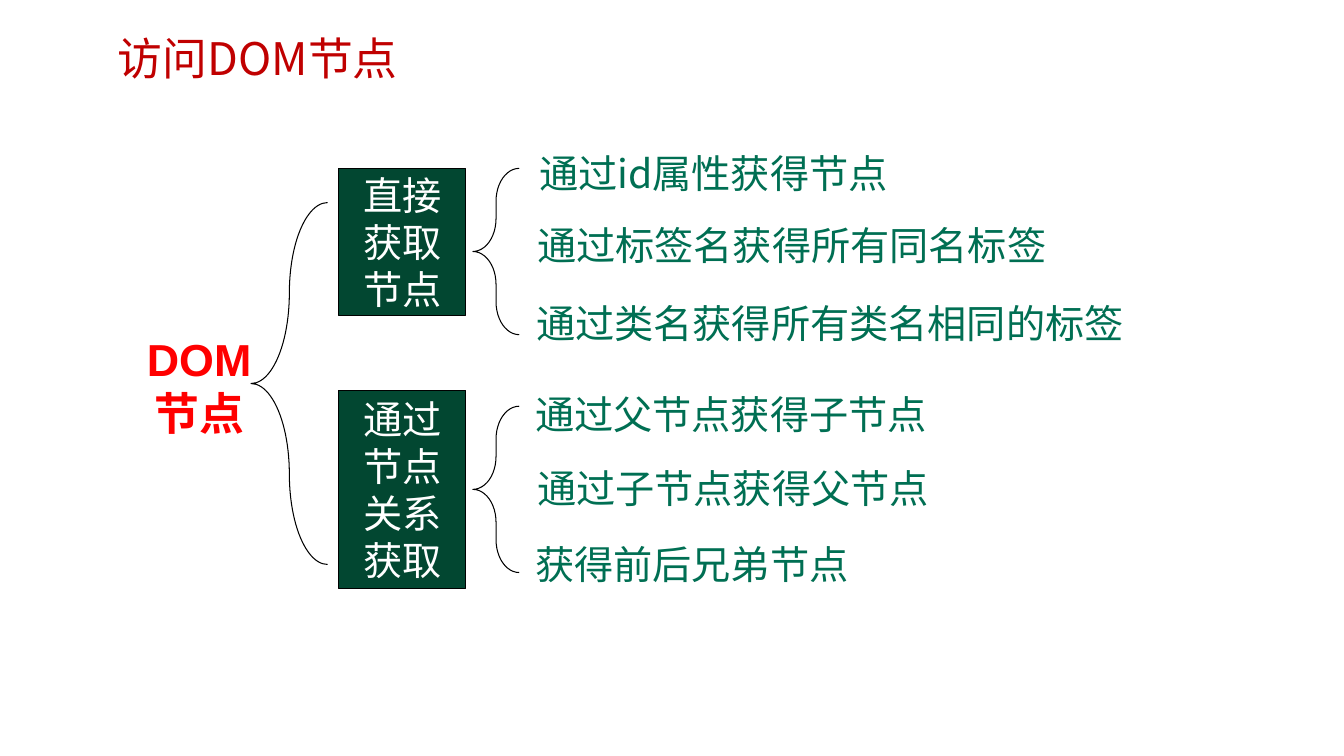
from dataclasses import dataclass

from lxml import etree
from pptx import Presentation
from pptx.dml.color import RGBColor
from pptx.enum.shapes import MSO_SHAPE as Preset
from pptx.enum.text import MSO_ANCHOR as Anchor, MSO_AUTO_SIZE as AutoSize, PP_ALIGN as Align
from pptx.oxml.ns import qn
from pptx.util import Inches, Pt


@dataclass(frozen=True)
class Theme:
    latin: str = "Arial"
    chinese: str = "Noto Sans CJK SC"
    title_color: str = "C00000"
    root_color: str = "FF0000"
    branch_fill: str = "024731"
    branch_text: str = "FFFFFF"
    leaf_color: str = "006F53"
    line_color: str = "000000"
    large: int = 32
    normal: int = 28
    line_width: float = 0.75
    line_pitch: float = 1.2


def set_text(frame, text, *, size, color, font, chinese, pitch,
             bold=False, align=Align.LEFT, anchor=Anchor.TOP):
    """Fill a text frame with one paragraph; pitch is line height over type size."""
    frame.word_wrap = True
    frame.vertical_anchor = anchor
    para = frame.paragraphs[0]
    para.alignment = align
    para.line_spacing = Pt(size * pitch)
    span = para.add_run()
    span.text = text
    span.font.size = Pt(size)
    span.font.bold = bold
    span.font.name = font
    span.font.color.rgb = RGBColor.from_string(color)
    properties = span._r.get_or_add_rPr()
    etree.SubElement(properties, qn("a:ea")).set("typeface", chinese)


class TreeSlide:
    def __init__(self, page, theme):
        self.page = page
        self.theme = theme

    def fill_text(self, frame, text, **style):
        set_text(frame, text, chinese=self.theme.chinese,
                 pitch=self.theme.line_pitch, **style)

    def label(self, text, left, top, width, height, grow=True, **style):
        box = self.page.shapes.add_textbox(
            Inches(left), Inches(top), Inches(width), Inches(height))
        self.fill_text(box.text_frame, text, **style)
        box.text_frame.auto_size = AutoSize.SHAPE_TO_FIT_TEXT if grow else AutoSize.NONE

    def outlined(self, preset, left, top, width, height):
        shape = self.page.shapes.add_shape(
            preset, Inches(left), Inches(top), Inches(width), Inches(height))
        shape.shadow.inherit = False
        shape.line.color.rgb = RGBColor.from_string(self.theme.line_color)
        shape.line.width = Pt(self.theme.line_width)
        return shape

    def branch(self, text, top, height):
        box = self.outlined(Preset.RECTANGLE, 3.36, top, 1.26, height)
        box.fill.solid()
        box.fill.fore_color.rgb = RGBColor.from_string(self.theme.branch_fill)
        self.fill_text(box.text_frame, text, size=self.theme.normal,
                       color=self.theme.branch_text, font=self.theme.latin,
                       align=Align.CENTER, anchor=Anchor.MIDDLE)

    def brace(self, left, top, width, height, curve):
        brace = self.outlined(Preset.LEFT_BRACE, left, top, width, height)
        brace.fill.background()
        brace.adjustments[0] = curve
        brace.adjustments[1] = 0.5

    def leaf(self, text, left, top):
        self.label(text, left, top, 6.1, 0.57, size=self.theme.normal,
                   color=self.theme.leaf_color, font=self.theme.chinese)


BRANCHES = [
    ("直接获取节点", 1.67, 1.46, 1.67, [
        ("通过id属性获得节点", 5.25, 1.43),
        ("通过标签名获得所有同名标签", 5.23, 2.15),
        ("通过类名获得所有类名相同的标签", 5.22, 2.92),
    ]),
    ("通过节点关系获取", 3.87, 1.97, 4.03, [
        ("通过父节点获得子节点", 5.21, 3.82),
        ("通过子节点获得父节点", 5.23, 4.56),
        ("获得前后兄弟节点", 5.21, 5.31),
    ]),
]


def main():
    deck = Presentation()
    deck.slide_width, deck.slide_height = Inches(13.33), Inches(7.5)
    theme = Theme()
    tree = TreeSlide(deck.slides.add_slide(deck.slide_layouts[6]), theme)

    tree.label("访问DOM节点", 1.07, 0.26, 8.21, 0.54, grow=False,
               size=theme.large, color=theme.title_color, font=theme.chinese)
    for name, top, height, brace_top, leaves in BRANCHES:
        tree.branch(name, top, height)
        tree.brace(4.69, brace_top, 0.46, 1.65, curve=0.71)
        for leaf in leaves:
            tree.leaf(*leaf)
    tree.brace(2.49, 2.01, 0.76, 3.59, curve=1.26)
    tree.label("DOM节点", 1.3, 3.24, 1.35, 1.18, size=theme.large, bold=True,
               color=theme.root_color, font=theme.latin, align=Align.CENTER)
    deck.save("out.pptx")


if __name__ == "__main__":
    main()
